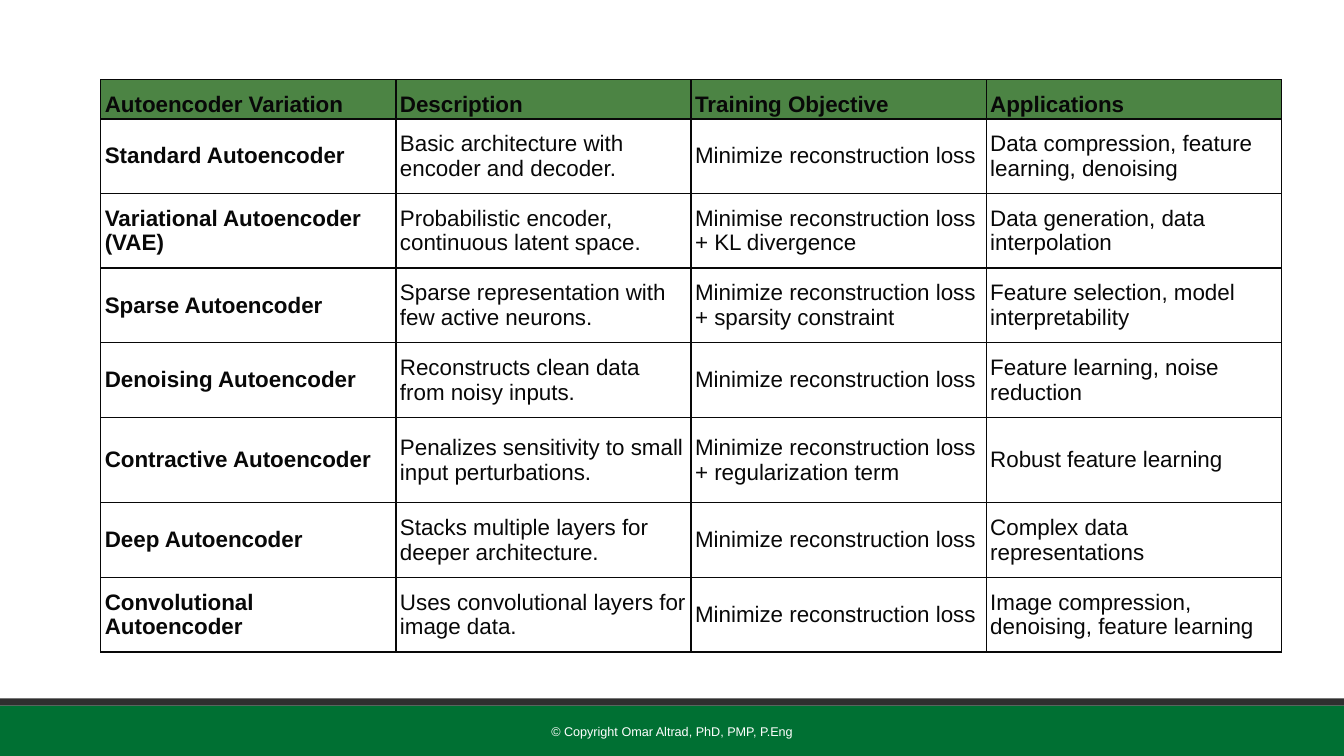
from lxml import etree
from pptx import Presentation, util as u
from pptx.dml.color import RGBColor
from pptx.enum import shapes, text
from pptx.oxml.ns import qn

HEADER = ("Autoencoder Variation", "Description", "Training Objective", "Applications")
VARIATIONS = [
    ("Standard Autoencoder", "Basic architecture with encoder and decoder.",
     "Minimize reconstruction loss", "Data compression, feature learning, denoising"),
    ("Variational Autoencoder (VAE)", "Probabilistic encoder, continuous latent space.",
     "Minimise reconstruction loss + KL divergence", "Data generation, data interpolation"),
    ("Sparse Autoencoder", "Sparse representation with few active neurons.",
     "Minimize reconstruction loss + sparsity constraint",
     "Feature selection, model interpretability"),
    ("Denoising Autoencoder", "Reconstructs clean data from noisy inputs.",
     "Minimize reconstruction loss", "Feature learning, noise reduction"),
    ("Contractive Autoencoder", "Penalizes sensitivity to small input perturbations.",
     "Minimize reconstruction loss + regularization term", "Robust feature learning"),
    ("Deep Autoencoder", "Stacks multiple layers for deeper architecture.",
     "Minimize reconstruction loss", "Complex data representations"),
    ("Convolutional Autoencoder", "Uses convolutional layers for image data.",
     "Minimize reconstruction loss", "Image compression, denoising, feature learning"),
]
COPYRIGHT = "© Copyright Omar Altrad, PhD, PMP, P.Eng"

FOOTER_GREEN = RGBColor(0x00, 0x70, 0x33)
RULE_GREY = RGBColor(0x2F, 0x2F, 0x2F)
HEADER_GREEN = RGBColor(0x4C, 0x84, 0x44)
INK = RGBColor(0x08, 0x08, 0x08)
WHITE = RGBColor(0xFF, 0xFF, 0xFF)

WIDTH, HEIGHT = 13.33, 7.5
FOOTER_HEIGHT, RULE_HEIGHT = 0.5, 0.07
LEFT, TOP, TABLE_WIDTH = 1, 0.79, 11.71
HEADER_HEIGHT, ROW_HEIGHT, TALL_ROW_HEIGHT = 0.39, 0.74, 0.85
TALL_ROW = "Contractive Autoencoder"
CELL_MARGINS = {"margin_left": u.Inches(0.04), "margin_right": u.Inches(0.04),
                "margin_top": u.Inches(0.02), "margin_bottom": u.Inches(0.02)}


def apply(target, values):
    for name, value in values.items():
        setattr(target, name, value)


def write(paragraph, wording, size, color, bold=False):
    run = paragraph.add_run()
    run.text = wording
    apply(run.font, {"name": "Arial", "size": u.Pt(size), "bold": bold})
    run.font.color.rgb = color


def add_band(slide, top, height, color):
    band = slide.shapes.add_shape(shapes.MSO_SHAPE.RECTANGLE, 0, u.Inches(top),
                                  u.Inches(WIDTH), u.Inches(height))
    band.shadow.inherit = False
    band.fill.solid()
    band.fill.fore_color.rgb = color
    band.line.fill.background()


def add_borders(cell):
    properties = cell._tc.get_or_add_tcPr()
    for side in ("a:lnL", "a:lnR", "a:lnT", "a:lnB"):
        border = etree.SubElement(properties, qn(side), w=str(u.Pt(1)))
        fill = etree.SubElement(border, qn("a:solidFill"))
        etree.SubElement(fill, qn("a:srgbClr"), val=str(INK))


def add_footer(slide):
    footer_top = HEIGHT - FOOTER_HEIGHT
    add_band(slide, footer_top, FOOTER_HEIGHT, FOOTER_GREEN)
    add_band(slide, footer_top - RULE_HEIGHT, RULE_HEIGHT, RULE_GREY)
    notice_width = 5.27
    notice = slide.shapes.add_textbox(
        u.Inches((WIDTH - notice_width) / 2), u.Inches(footer_top + 0.06),
        u.Inches(notice_width), u.Inches(0.4)).text_frame
    apply(notice, {"word_wrap": True, "vertical_anchor": text.MSO_ANCHOR.MIDDLE})
    notice.paragraphs[0].alignment = text.PP_ALIGN.CENTER
    write(notice.paragraphs[0], COPYRIGHT, 9, WHITE)


def add_comparison(slide):
    rows = [HEADER, *VARIATIONS]
    heights = [HEADER_HEIGHT] + [TALL_ROW_HEIGHT if row[0] == TALL_ROW else ROW_HEIGHT
                                 for row in VARIATIONS]
    comparison = slide.shapes.add_table(
        len(rows), len(HEADER), u.Inches(LEFT), u.Inches(TOP),
        u.Inches(TABLE_WIDTH), u.Inches(sum(heights))).table
    apply(comparison, {"first_row": False, "horz_banding": False})
    for column in comparison.columns:
        column.width = u.Inches(TABLE_WIDTH / len(HEADER))
    for r, (row, height) in enumerate(zip(rows, heights)):
        comparison.rows[r].height = u.Inches(height)
        is_header = r == 0
        anchor = text.MSO_ANCHOR.BOTTOM if is_header else text.MSO_ANCHOR.MIDDLE
        for c, wording in enumerate(row):
            cell = comparison.cell(r, c)
            apply(cell, {**CELL_MARGINS, "vertical_anchor": anchor})
            add_borders(cell)
            if is_header:
                cell.fill.solid()
                cell.fill.fore_color.rgb = HEADER_GREEN
            else:
                cell.fill.background()
            write(cell.text_frame.paragraphs[0], wording, 16, INK, is_header or c == 0)


def main():
    deck = Presentation()
    apply(deck, {"slide_width": u.Inches(WIDTH), "slide_height": u.Inches(HEIGHT)})
    slide = deck.slides.add_slide(deck.slide_layouts[6])
    add_footer(slide)
    add_comparison(slide)
    deck.save("out.pptx")


if __name__ == "__main__":
    main()
